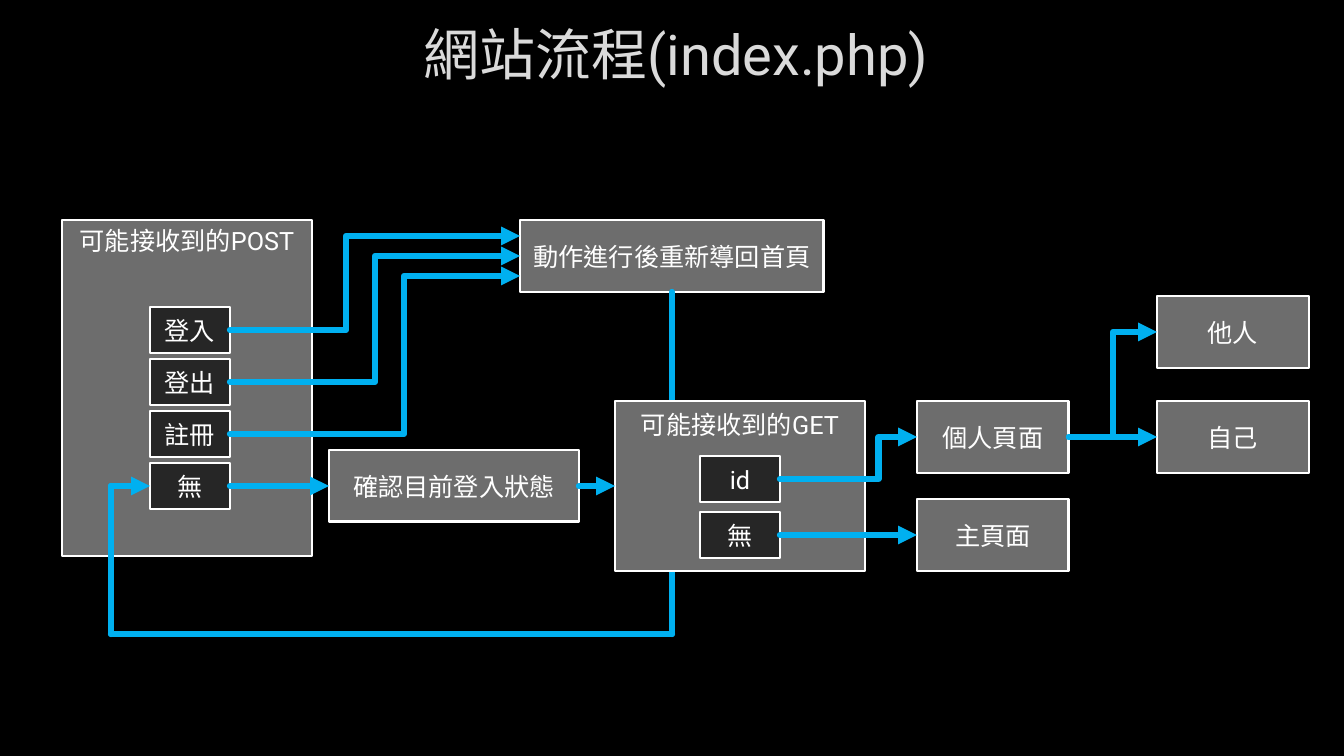
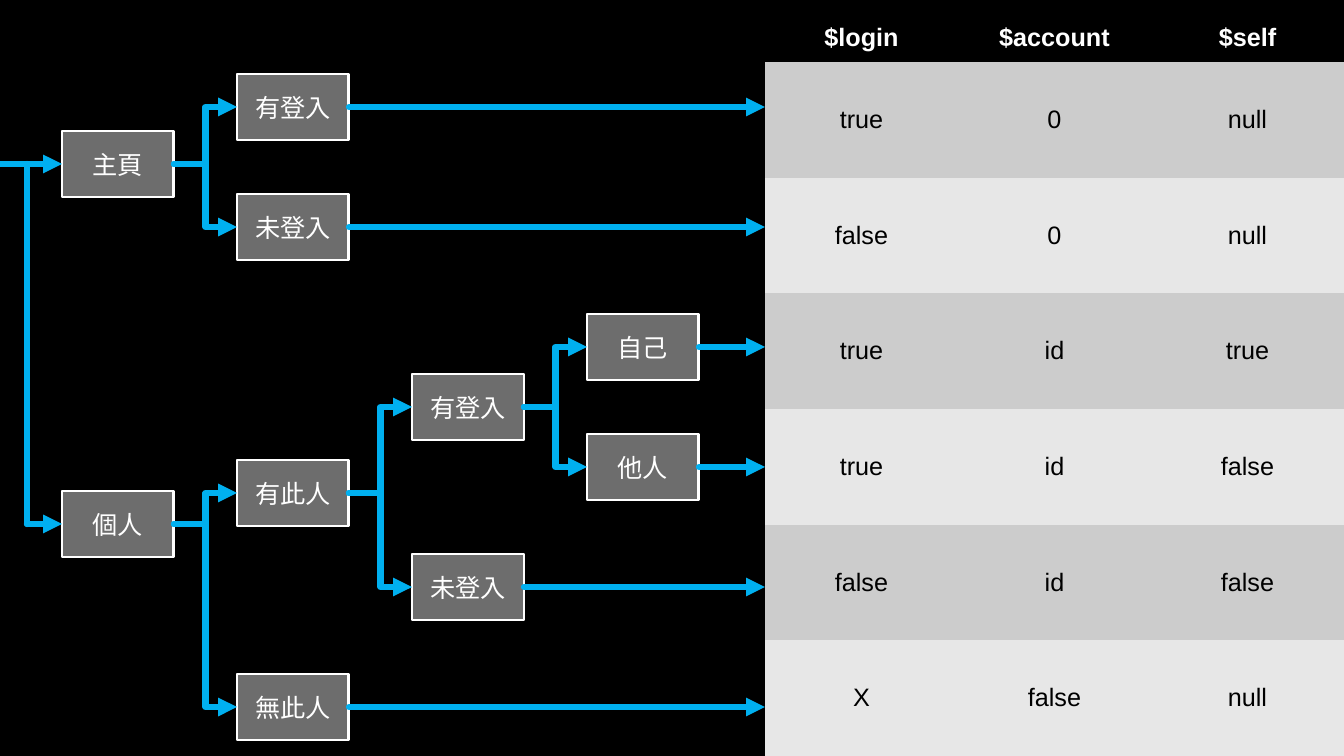
from pptx import Presentation
from pptx.dml.color import RGBColor
from pptx.enum.shapes import MSO_CONNECTOR as CONN, MSO_SHAPE as SHAPE
from pptx.enum.text import MSO_ANCHOR as ANCHOR, PP_ALIGN as ALIGN
from pptx.oxml.ns import qn
from pptx.util import Pt
from lxml.etree import SubElement

W, H = 1344, 756
EMU_PER_PX = 12192000 / W
COLORS = {"bg": "000000", "title": "DADADA", "box": "6D6D6D", "choice": "262626",
          "white": "FFFFFF", "arrow": "00B0F0", "black": "000000",
          "odd": "CCCCCC", "even": "E7E7E7"}
FONT, TABLE_FONT = "Roboto", "Arial"
NO_TABLE_STYLE = "{2D5ABB26-0587-4C30-8999-92F81FD0307C}"
TOP, LEFT, BOTTOM, RIGHT = range(4)

# Slide 1: website flow
TITLE = ("網站流程(index.php)", (106, 0, 1140, 107))
PANELS = {"post": ("可能接收到的POST", (62, 220, 250, 336), 220),
          "get": ("可能接收到的GET", (615, 401, 250, 170), 404)}
POST_CHOICES = ["登入", "登出", "註冊", "無"]
GET_CHOICES = ["id", "無"]
CHOICE_W, CHOICE_H = 80, 46
STEP_H = 72
STEPS = {  # key: text, left, top, width
    "redirect": ("動作進行後重新導回首頁", 520, 220, 304),
    "check": ("確認目前登入狀態", 329, 450, 250),
    "profile": ("個人頁面", 917, 401, 152),
    "home": ("主頁面", 917, 499, 152),
    "other": ("他人", 1157, 296, 152),
    "self": ("自己", 1157, 401, 152),
}
LOOP = [(672, 634), (111, 634), (111, 486)]

# Slide 2: decision tree and resulting variables
NODE_W, NODE_H = 112, 66
COL_X, COL_STEP = 62, 175
LEAF_Y, LEAF_STEP = 107, 120
NODES = {  # key: text, column, middle y
    "home": ("主頁", 0, 164),
    "profile": ("個人", 0, 524),
    "found": ("有此人", 1, 493),
    "found_in": ("有登入", 2, 407),
}
LEAVES = {  # key: text, column; one for each table row
    "home_in": ("有登入", 1),
    "home_out": ("未登入", 1),
    "self": ("自己", 3),
    "other": ("他人", 3),
    "found_out": ("未登入", 2),
    "missing": ("無此人", 1),
}
BRANCHES = {"home": ["home_in", "home_out"], "profile": ["found", "missing"],
            "found": ["found_in", "found_out"], "found_in": ["self", "other"]}
TRUNK_X = 27
TABLE_X, HEADER_H = 765, 62
TABLE = [
    ("$login", "$account", "$self"),
    ("true", "0", "null"),
    ("false", "0", "null"),
    ("true", "id", "true"),
    ("true", "id", "false"),
    ("false", "id", "false"),
    ("X", "false", "null"),
]


def px(n):
    return round(n * EMU_PER_PX)


def rgb(name):
    return RGBColor.from_string(COLORS[name])


def new_slide(prs):
    s = prs.slides.add_slide(prs.slide_layouts[6])
    s.background.fill.solid()
    s.background.fill.fore_color.rgb = rgb("bg")
    return s


def write(tf, text, size=18, color="white", font=FONT, bold=False):
    tf.text = text
    p = tf.paragraphs[0]
    p.alignment = ALIGN.CENTER
    r = p.runs[0]
    r.font.size, r.font.bold, r.font.name = Pt(size), bold, font
    r.font.color.rgb = rgb(color)
    rPr = r._r.get_or_add_rPr()
    rPr.set("lang", "zh-TW")
    SubElement(rPr, qn("a:ea")).set("typeface", font)
    return p


def add_label(s, text, rect, anchor=ANCHOR.TOP, **style):
    tf = s.shapes.add_textbox(*map(px, rect)).text_frame
    tf.word_wrap = True
    tf.vertical_anchor = anchor
    write(tf, text, **style)


def add_box(s, rect, text="", fill="box"):
    sp = s.shapes.add_shape(SHAPE.RECTANGLE, *map(px, rect))
    sp.shadow.inherit = False
    sp.fill.solid()
    sp.fill.fore_color.rgb = rgb(fill)
    sp.line.color.rgb = rgb("white")
    sp.line.width = Pt(2)
    if text:
        sp.text_frame.vertical_anchor = ANCHOR.MIDDLE
        write(sp.text_frame, text)
    return sp


def add_panel(s, key):
    text, rect, label_y = PANELS[key]
    add_box(s, rect)
    add_label(s, text, (rect[0], label_y, rect[2], 40))


def side(sp, site):
    """Middle of one side of a box, in EMU."""
    x = {LEFT: sp.left, RIGHT: sp.left + sp.width}.get(site, sp.left + sp.width // 2)
    y = {TOP: sp.top, BOTTOM: sp.top + sp.height}.get(site, sp.top + sp.height // 2)
    return x, y


def add_link(s, start, end, kind=CONN.STRAIGHT, head=True, bend=None):
    """Each end is a px point or a (box, side) pair, which gets joined."""
    ends = [e if hasattr(e[0], "left") else None for e in (start, end)]
    points = [side(*j) if j else (px(e[0]), px(e[1]))
              for j, e in zip(ends, (start, end))]
    c = s.shapes.add_connector(kind, *points[0], *points[1])
    if ends[0]:
        c.begin_connect(*ends[0])
    if ends[1]:
        c.end_connect(*ends[1])
    c.line.color.rgb = rgb("arrow")
    c.line.width = Pt(4.5)
    spPr = c._element.spPr
    ln = spPr.find(qn("a:ln"))
    ln.set("cap", "rnd")
    SubElement(ln, qn("a:round"))
    if head:
        SubElement(ln, qn("a:tailEnd")).set("type", "triangle")
    SubElement(spPr, qn("a:effectLst"))
    if bend is not None:
        geom = spPr.find(qn("a:prstGeom"))
        av = geom.find(qn("a:avLst"))
        if av is None:
            av = SubElement(geom, qn("a:avLst"))
        gd = SubElement(av, qn("a:gd"))
        gd.set("name", "adj1")
        gd.set("fmla", f"val {round(bend * 100000)}")


def add_choices(s, texts, x, y, step):
    return [add_box(s, (x, y + i * step, CHOICE_W, CHOICE_H), t, "choice")
            for i, t in enumerate(texts)]


def flow_slide(prs):
    s = new_slide(prs)
    add_label(s, *TITLE, anchor=ANCHOR.MIDDLE, size=40, color="title")

    # POST panel, steps and the loop that passes behind the GET panel
    add_panel(s, "post")
    post = add_choices(s, POST_CHOICES, 150, 307, 52)
    step = {k: add_box(s, (x, y, w, STEP_H), t) for k, (t, x, y, w) in STEPS.items()}
    add_link(s, (step["redirect"], BOTTOM), LOOP[0], head=False)
    for a, b in zip(LOOP, LOOP[1:]):
        add_link(s, a, b, head=False)
    add_link(s, LOOP[-1], (post[-1], LEFT))

    # GET panel
    add_panel(s, "get")
    by_id, by_none = add_choices(s, GET_CHOICES, 700, 456, 56)

    # Actions that lead back to the front page
    for i in range(3):
        begin = (150 + CHOICE_W, 307 + 52 * i + CHOICE_H / 2)
        add_link(s, begin, (520, 236 + 20 * i), CONN.ELBOW, bend=0.4 + 0.1 * i)

    # Remaining flow, left to right
    add_link(s, (post[-1], RIGHT), (step["check"], LEFT))
    add_link(s, (step["check"], RIGHT), (615, 486))
    add_link(s, (by_id, RIGHT), (step["profile"], LEFT), CONN.ELBOW, bend=0.72)
    add_link(s, (by_none, RIGHT), (step["home"], LEFT))
    add_link(s, (step["profile"], RIGHT), (step["self"], LEFT))
    add_link(s, (step["profile"], RIGHT), (step["other"], LEFT), CONN.ELBOW)


def add_results(s):
    rows, cols = len(TABLE), len(TABLE[0])
    tbl = s.shapes.add_table(rows, cols, px(TABLE_X), 0, px(W - TABLE_X), px(H)).table
    tbl.first_row = tbl.horz_banding = False
    tbl._tbl.tblPr.find(qn("a:tableStyleId")).text = NO_TABLE_STYLE
    for col in tbl.columns:
        col.width = px((W - TABLE_X) / cols)
    for i, values in enumerate(TABLE):
        header = i == 0
        tbl.rows[i].height = px(HEADER_H if header else (H - HEADER_H) / (rows - 1))
        for j, value in enumerate(values):
            cell = tbl.cell(i, j)
            cell.vertical_anchor = ANCHOR.MIDDLE
            cell.fill.solid()
            cell.fill.fore_color.rgb = rgb("bg" if header else "odd" if i % 2 else "even")
            p = write(cell.text_frame, value, font=TABLE_FONT, bold=header,
                      color="white" if header else "black")
            if header:
                p.line_spacing = 1.5


def tree_slide(prs):
    s = new_slide(prs)
    leaf_y = {k: LEAF_Y + i * LEAF_STEP for i, k in enumerate(LEAVES)}
    nodes = NODES | {k: (*v, leaf_y[k]) for k, v in LEAVES.items()}
    box = {k: add_box(s, (COL_X + col * COL_STEP, y - NODE_H // 2, NODE_W, NODE_H), t)
           for k, (t, col, y) in nodes.items()}
    add_results(s)

    # Branches, then one arrow from each leaf to its table row
    for parent, children in BRANCHES.items():
        for child in children:
            add_link(s, (box[parent], RIGHT), (box[child], LEFT), CONN.ELBOW)
    for k, y in leaf_y.items():
        add_link(s, (box[k], RIGHT), (TABLE_X, y))

    # Entry from the left edge
    home_y, profile_y = NODES["home"][2], NODES["profile"][2]
    add_link(s, (0, home_y), (box["home"], LEFT))
    add_link(s, (TRUNK_X, home_y), (TRUNK_X, profile_y), head=False)
    add_link(s, (TRUNK_X, profile_y), (box["profile"], LEFT))


def main():
    prs = Presentation()
    prs.slide_width, prs.slide_height = px(W), px(H)
    flow_slide(prs)
    tree_slide(prs)
    prs.save("out.pptx")


if __name__ == "__main__":
    main()
